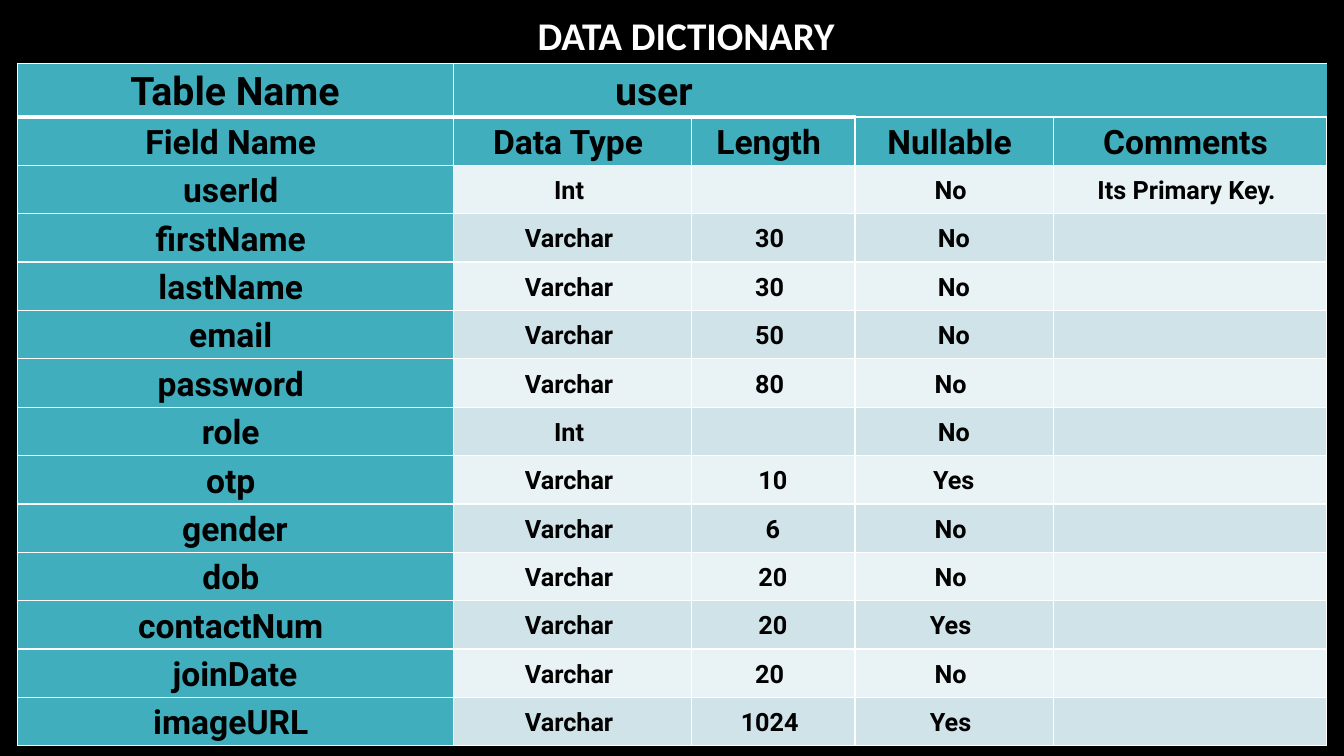
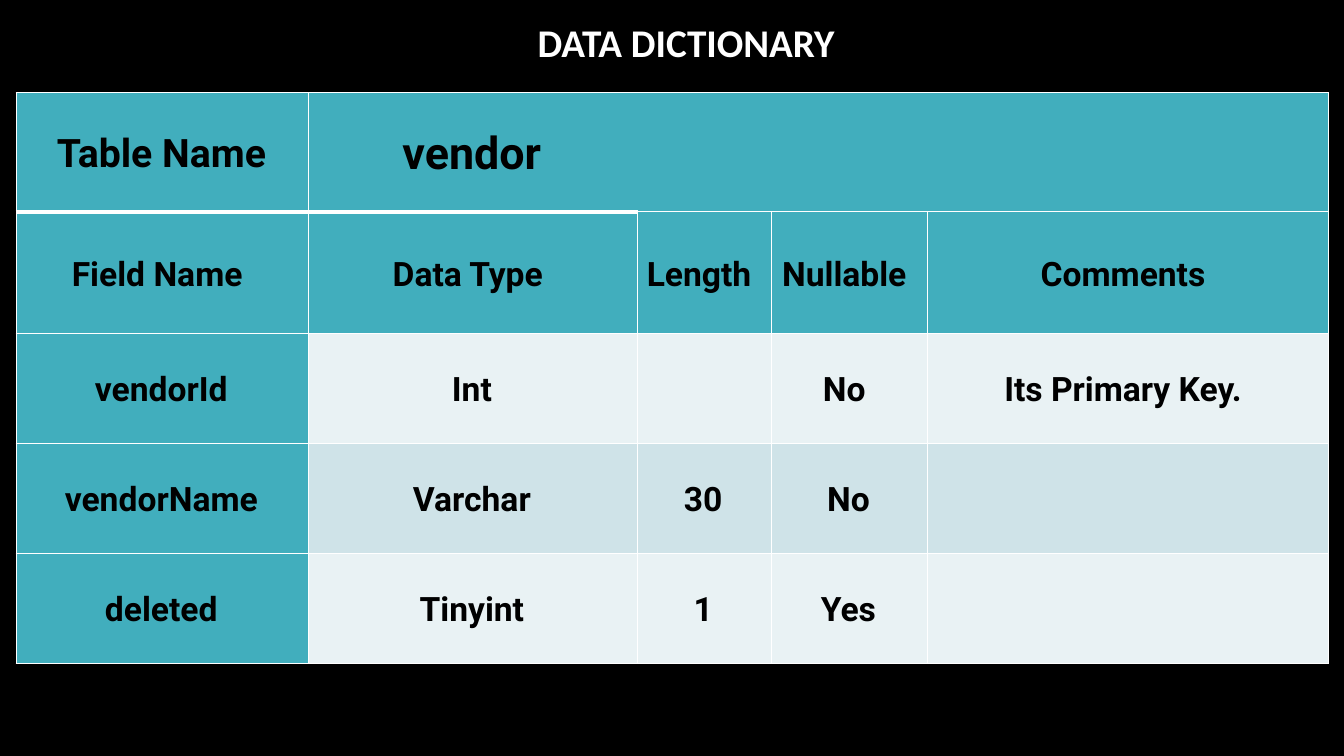
"""Build the data dictionary slides for the user and vendor tables."""
from lxml.etree import SubElement
from pptx import Presentation
from pptx.dml.color import RGBColor
from pptx.enum.text import MSO_ANCHOR, MSO_AUTO_SIZE, PP_ALIGN
from pptx.oxml.ns import qn
from pptx.util import Inches, Pt

BLACK, WHITE = "000000", "FFFFFF"
TEAL, PALE, TINT = "41AEBD", "E9F2F4", "CFE3E8"
TITLE = "DATA DICTIONARY"
HEADINGS = ("Field Name ", "Data Type ", "Length ", "Nullable ", "Comments ")

USER = {
    "name": "user", "name_size": 28, "body_size": 18, "name_columns": 2,
    "title_top": 0.06, "left": 0.17, "top": 0.63, "right_inset": 0.07,
    "columns": (4.33, 2.36, 1.62, 1.97, 2.71),
    "heights": [0.53] + [0.48] * 13,
    "closed_right": False,
    "fields": [
        ("userId ", "Int ", "", "No ", "Its Primary Key. "),
        ("firstName ", "Varchar ", "30 ", "No", ""),
        ("lastName ", "Varchar ", "30 ", "No", ""),
        ("email ", "Varchar ", "50 ", "No", ""),
        ("password ", "Varchar ", "80 ", "No ", ""),
        ("role ", "Int ", "", "No", ""),
        ("otp ", "Varchar ", " 10", "Yes", ""),
        ("gender", "Varchar ", " 6", "No ", ""),
        ("dob ", "Varchar ", " 20", "No ", ""),
        ("contactNum ", "Varchar ", " 20", "Yes ", ""),
        ("joinDate", "Varchar ", "20 ", "No ", ""),
        ("imageURL ", "Varchar ", "1024 ", "Yes ", ""),
    ],
}
VENDOR = {
    "name": "vendor", "name_size": 32, "body_size": 24, "name_columns": 1,
    "title_top": 0.13, "left": 0.16, "top": 0.92, "right_inset": 0.08,
    "columns": (2.9, 3.26, 1.33, 1.55, 3.98),
    "heights": [1.18, 1.21] + [1.09] * 3,
    "closed_right": True,
    "fields": [
        ("vendorId", "Int", "", "No ", "Its Primary Key. "),
        ("vendorName", "Varchar", "30", "No", ""),
        ("deleted", "Tinyint", "1", "Yes", ""),
    ],
}


def color(hex_string):
    """Turn a hex string into a colour."""
    return RGBColor.from_string(hex_string)


def add_text(frame, text, size, font, ink):
    """Write one centred bold run and return its paragraph."""
    paragraph = frame.paragraphs[0]
    paragraph.alignment = PP_ALIGN.CENTER
    run = paragraph.add_run()
    run.text = text
    run.font.size, run.font.bold, run.font.name = Pt(size), True, font
    run.font.color.rgb = color(ink)
    return paragraph


def set_title(slide, top):
    """Place and format the slide title."""
    title = slide.shapes.title
    title.left, title.top = Inches(3.47), Inches(top)
    title.width, title.height = Inches(6.67), Inches(0.57)
    frame = title.text_frame
    frame.auto_size, frame.word_wrap = MSO_AUTO_SIZE.NONE, True
    frame.vertical_anchor = MSO_ANCHOR.TOP
    add_text(frame, TITLE, 28, "Calibri", WHITE)


def set_borders(cell, widths):
    """Draw left, right, top and bottom borders; zero means no line."""
    properties = cell._tc.get_or_add_tcPr()
    for position, (side, width) in enumerate(zip("LRTB", widths)):
        line = SubElement(properties, qn(f"a:ln{side}"), w=str(Pt(width)))
        if width:
            fill = SubElement(line, qn("a:solidFill"))
            SubElement(fill, qn("a:srgbClr"), val=WHITE)
        else:
            SubElement(line, qn("a:noFill"))
        properties.insert(position, line)


def border_widths(entry, row, column):
    """Work out the border widths of one cell."""
    rule = 3 if column <= entry["name_columns"] else 1
    if row > 0:
        return 1, 1, rule if row == 1 else 1, 1
    last = column == len(HEADINGS) - 1
    right = column == 0 or (last and entry["closed_right"])
    return int(column < 2), int(right), 1, rule


def text_size(entry, row, column):
    """Choose the text size of one cell."""
    if row == 0:
        return entry["name_size"] if column else 28
    return 24 if row == 1 or column == 0 else entry["body_size"]


def fill_cell(cell, entry, row, column, text):
    """Format one cell and write its text."""
    header = row < 2 or column == 0
    cell.fill.solid()
    cell.fill.fore_color.rgb = color(TEAL if header else (PALE, TINT)[row % 2])
    set_borders(cell, border_widths(entry, row, column))
    if not text:
        return
    cell.vertical_anchor = MSO_ANCHOR.MIDDLE
    cell.margin_left = cell.margin_bottom = 0
    cell.margin_top = Inches(0.01)
    cell.margin_right = Inches(entry["right_inset"])
    size = text_size(entry, row, column)
    paragraph = add_text(cell.text_frame, text, size, "Roboto", BLACK)
    paragraph.line_spacing, paragraph.space_after = 1.07, Pt(4.5)
    indents = paragraph._p.get_or_add_pPr()
    indents.set("marL", str(Inches(0.01 if text.startswith(" ") else 0.07)))
    indents.set("indent", str(Inches(-0.01)))


def add_dictionary(slide, entry):
    """Add the table that describes one database table."""
    rows = [("Table Name", entry["name"], "", "", ""), HEADINGS, *entry["fields"]]
    columns, heights = entry["columns"], entry["heights"]
    table = slide.shapes.add_table(
        len(rows), len(columns), Inches(entry["left"]), Inches(entry["top"]),
        Inches(sum(columns)), Inches(sum(heights))).table
    table.first_row = table.horz_banding = False
    for column, width in zip(table.columns, columns):
        column.width = Inches(width)
    for row, height in zip(table.rows, heights):
        row.height = Inches(height)
    for row, texts in enumerate(rows):
        for column, text in enumerate(texts):
            fill_cell(table.cell(row, column), entry, row, column, text)
    if entry["name_columns"] > 1:
        table.cell(0, 1).merge(table.cell(0, entry["name_columns"]))


def main():
    """Build and save the presentation."""
    presentation = Presentation()
    presentation.slide_width, presentation.slide_height = Inches(13.33), Inches(7.5)
    background = presentation.slide_master.background.fill
    background.solid()
    background.fore_color.rgb = color(BLACK)
    for entry in (USER, VENDOR):
        slide = presentation.slides.add_slide(presentation.slide_layouts[5])
        set_title(slide, entry["title_top"])
        add_dictionary(slide, entry)
    presentation.save("out.pptx")


if __name__ == "__main__":
    main()
